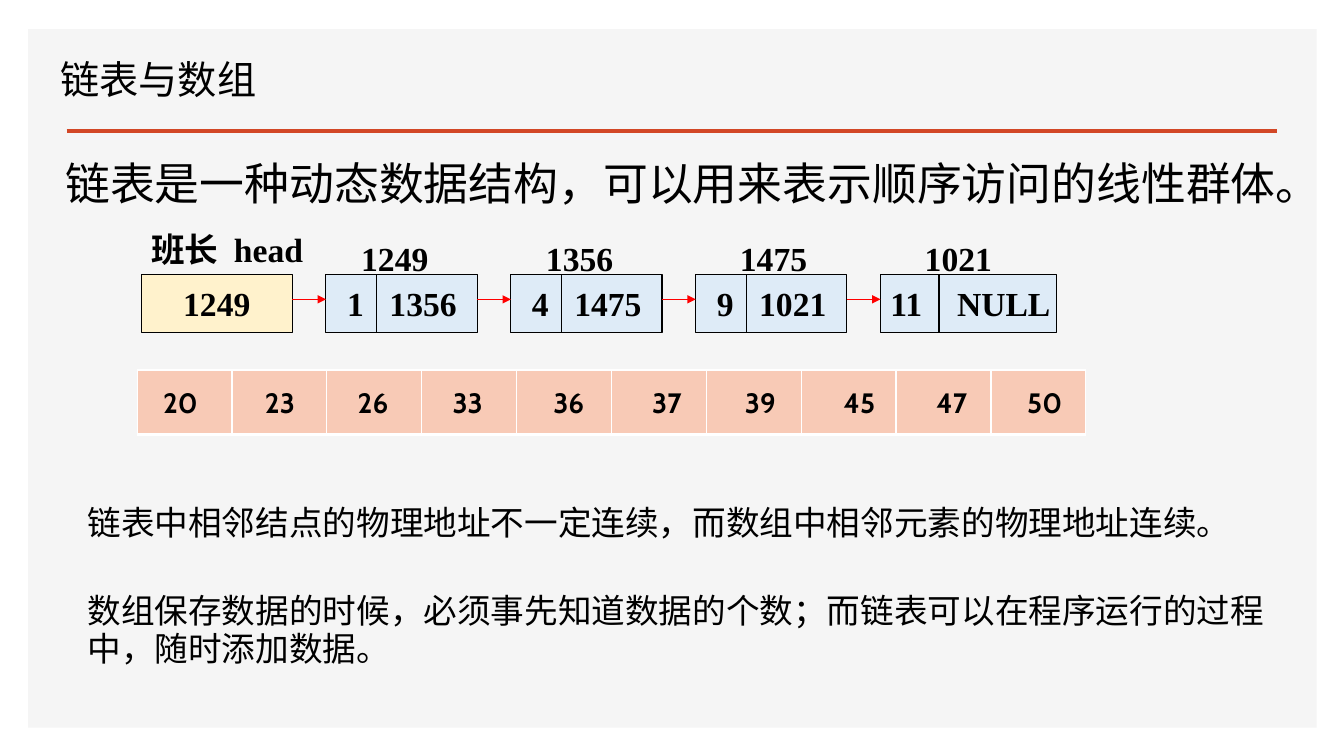
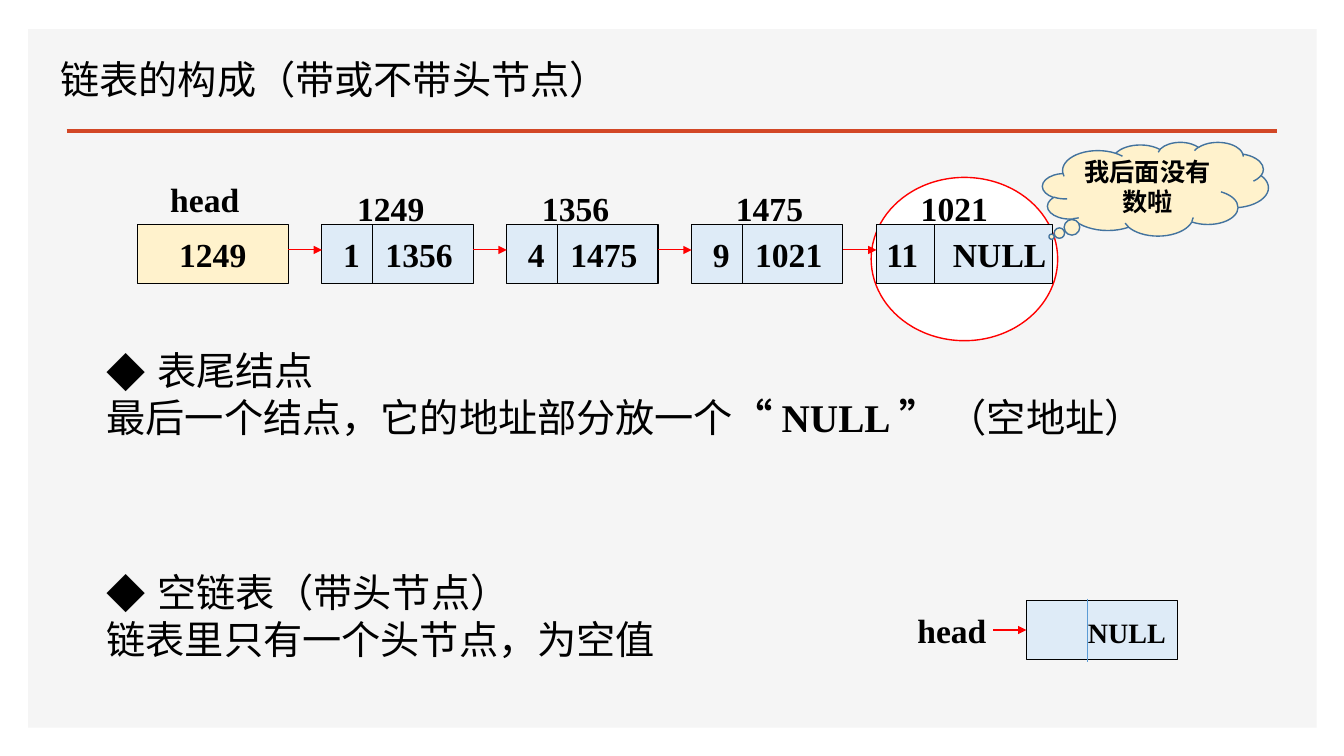
from lxml.etree import SubElement
from pptx import Presentation
from pptx.dml.color import RGBColor
from pptx.enum.shapes import MSO_CONNECTOR as Connector, MSO_SHAPE as Shape
from pptx.enum.text import MSO_ANCHOR as Anchor, PP_ALIGN as Align
from pptx.oxml.ns import qn
from pptx.util import Inches, Pt

BLACK, WHITE, RED = "000000", "FFFFFF", "FF0000"
PANEL, ACCENT = "F5F5F5", "D24726"
HEAD_FILL, NODE_FILL, ARRAY_FILL = "FFF2CC", "DEEBF7", "F8CAB6"
CLOUD_LINE, THIN_BLUE = "43739E", "5B9BD5"
CABIN, TIMES, CHINESE = "Cabin", "Times New Roman", "Noto Sans CJK SC"

NODE_WIDTH, NODE_HEIGHT = 1.5, 0.58
PITCH = NODE_WIDTH + 1 / 3
DIVIDER, LAST_DIVIDER, LAST_WIDTH = 0.5, 0.58, 1.75
ARROW_DROP = 0.25
NODES = [("1249", "1", "1356", 0.25), ("1356", "4", "1475", 0.25),
         ("1475", "9", "1021", 0.34), ("1021", "11", "NULL", 0.34)]
ARRAY_VALUES = [(20, 0.16), (23, 1.17), (26, 2.09), (33, 3.03), (36, 4.03),
                (37, 5.01), (39, 5.93), (45, 6.91), (47, 7.83), (50, 8.73)]


def color(value):
    return RGBColor.from_string(value)


def add_run(paragraph, text, size, font=TIMES, bold=False):
    run = paragraph.add_run()
    run.text = text
    run.font.size = Pt(size)
    run.font.name = font
    run.font.bold = bold
    run.font.color.rgb = color(BLACK)
    SubElement(run.font._element, qn("a:ea"), typeface=CHINESE)


def format_paragraph(paragraph, size, leading=1.2, align=Align.LEFT):
    paragraph.alignment = align
    paragraph.line_spacing = Pt(round(size * leading, 1))


def set_bullet(paragraph, character, indent):
    properties = paragraph._p.get_or_add_pPr()
    properties.set("marL", str(Inches(indent)))
    properties.set("indent", str(-Inches(indent)))
    SubElement(properties, qn("a:buFont"), typeface=CHINESE)
    SubElement(properties, qn("a:buChar"), char=character)


def set_tab(paragraph, position):
    tabs = SubElement(paragraph._p.get_or_add_pPr(), qn("a:tabLst"))
    SubElement(tabs, qn("a:tab"), pos=str(Inches(position)), algn="l")


def set_borders(cell, value, weights):
    properties = cell._tc.get_or_add_tcPr()
    for side, weight in weights.items():
        line = SubElement(properties, qn(f"a:ln{side}"), w=str(Pt(weight)))
        fill = SubElement(line, qn("a:solidFill"))
        SubElement(fill, qn("a:srgbClr"), val=value)


def add_box(slide, kind, left, top, width, height, fill, line=None, weight=0.75):
    shape = slide.shapes.add_shape(kind, Inches(left), Inches(top), Inches(width), Inches(height))
    shape.shadow.inherit = False
    shape.fill.solid()
    shape.fill.fore_color.rgb = color(fill)
    if line:
        shape.line.color.rgb = color(line)
        shape.line.width = Pt(weight)
    else:
        shape.line.fill.background()
    shape.text_frame.vertical_anchor = Anchor.MIDDLE
    return shape


def add_line(slide, start, end, line, weight=0.75, arrow=False):
    connector = slide.shapes.add_connector(
        Connector.STRAIGHT, *(Inches(value) for value in (*start, *end)))
    connector.line.color.rgb = color(line)
    connector.line.width = Pt(weight)
    if arrow:
        SubElement(connector.line._get_or_add_ln(), qn("a:tailEnd"), type="triangle")
    SubElement(connector._element.spPr, qn("a:effectLst"))
    return connector


def add_text_frame(slide, left, top, width, height, wrap=True):
    box = slide.shapes.add_textbox(Inches(left), Inches(top), Inches(width), Inches(height))
    box.text_frame.word_wrap = wrap
    return box.text_frame


def add_label(slide, text, left, top, width=1.08, height=0.5, size=24, font=TIMES):
    paragraph = add_text_frame(slide, left, top, width, height).paragraphs[0]
    format_paragraph(paragraph, size)
    add_run(paragraph, text, size, font, True)


def decorate_layout(layout, slide):
    panel = add_box(slide, Shape.RECTANGLE, 0.28, 0.29, 12.78, 6.93, PANEL)
    rule = add_line(slide, (0.66, 1.3), (12.67, 1.3), ACCENT, 2.25)
    for offset, shape in enumerate((panel, rule)):
        shape._element.xpath(".//p:cNvPr")[0].set("id", str(101 + offset))
        layout.shapes.element.insert(2 + offset, shape._element)


def set_title(slide, text):
    title = slide.shapes.title
    title.left, title.top = Inches(0.5), Inches(0.16)
    title.width, title.height = Inches(8.2), Inches(1.25)
    title.text_frame.vertical_anchor = Anchor.MIDDLE
    paragraph = title.text_frame.paragraphs[0]
    format_paragraph(paragraph, 28)
    add_run(paragraph, text, 28, CHINESE)


def add_head(slide, left, top):
    head = add_box(slide, Shape.RECTANGLE, left, top, NODE_WIDTH, NODE_HEIGHT, HEAD_FILL, BLACK)
    paragraph = head.text_frame.paragraphs[0]
    format_paragraph(paragraph, 24, align=Align.CENTER)
    add_run(paragraph, "1249", 24, bold=True)


def add_node(slide, left, top, value, address, last):
    width = LAST_WIDTH if last else NODE_WIDTH
    divider = left + (LAST_DIVIDER if last else DIVIDER)
    node = add_box(slide, Shape.RECTANGLE, left, top, width, NODE_HEIGHT, NODE_FILL, BLACK)
    frame = node.text_frame
    frame.margin_left = Inches(0.1 if last else 0.21)
    frame.margin_right = 0
    paragraph = frame.paragraphs[0]
    format_paragraph(paragraph, 24)
    set_tab(paragraph, 0.66 if last else 0.42)
    add_run(paragraph, f"{value}\t{address}", 24, bold=True)
    add_line(slide, (divider, top), (divider, top + NODE_HEIGHT), BLACK)


def add_chain(slide, left, top, head_text, head_shift):
    add_head(slide, left, top)
    add_label(slide, head_text, left + head_shift, top - 0.5, 1.77)
    for index, (label, value, address, label_shift) in enumerate(NODES, 1):
        node_left = left + index * PITCH
        add_node(slide, node_left, top, value, address, index == len(NODES))
        add_label(slide, label, node_left + label_shift, top - 0.41)
        arrow_top = top + ARROW_DROP
        add_line(slide, (node_left - PITCH + NODE_WIDTH, arrow_top), (node_left, arrow_top),
                 RED, arrow=True)


def add_array(slide, left, top, width, height):
    table = slide.shapes.add_table(1, len(ARRAY_VALUES), Inches(left), Inches(top),
                                   Inches(width), Inches(height)).table
    table.horz_banding = False
    for cell, (value, shift) in zip(table.rows[0].cells, ARRAY_VALUES):
        set_borders(cell, WHITE, {"L": 1, "R": 1, "T": 1, "B": 3})
        cell.fill.solid()
        cell.fill.fore_color.rgb = color(ARRAY_FILL)
        add_label(slide, str(value), left + shift, top + 0.11, 0.8, 0.44, 20, CABIN)


def add_notes_text(slide, left, top, width, height, texts):
    frame = add_text_frame(slide, left, top, width, height)
    for index, text in enumerate(texts):
        paragraph = frame.add_paragraph() if index else frame.paragraphs[0]
        format_paragraph(paragraph, 24, 1.12)
        paragraph.space_before = Pt(36 if index else 0)
        add_run(paragraph, text, 24, CABIN)


def add_topic(slide, left, top, width, heading, runs, font):
    frame = add_text_frame(slide, left, top, width, 1.04)
    bullet = frame.paragraphs[0]
    format_paragraph(bullet, 28)
    set_bullet(bullet, "◆", 0.5)
    add_run(bullet, heading, 28, font)
    detail = frame.add_paragraph()
    format_paragraph(detail, 28)
    for text, bold in runs:
        add_run(detail, text, 28, font, bold)


def add_cloud(slide, left, top, width, height, text):
    cloud = add_box(slide, Shape.CLOUD_CALLOUT, left, top, width, height,
                    HEAD_FILL, CLOUD_LINE, 1)
    cloud.adjustments[0], cloud.adjustments[1] = -0.46, 0.51
    cloud.text_frame.word_wrap = True
    paragraph = cloud.text_frame.paragraphs[0]
    format_paragraph(paragraph, 18, align=Align.CENTER)
    add_run(paragraph, text, 18, CABIN, True)


def add_empty_list(slide, left, top):
    node = add_box(slide, Shape.RECTANGLE, left, top, NODE_WIDTH, NODE_HEIGHT, NODE_FILL, BLACK)
    node.text_frame.margin_left = Inches(0.61)
    node.text_frame.margin_right = 0
    paragraph = node.text_frame.paragraphs[0]
    format_paragraph(paragraph, 20, 1.35)
    add_run(paragraph, "NULL", 20, bold=True)
    add_line(slide, (left + 0.6, top - 0.02), (left + 0.6, top + 0.61), THIN_BLUE, 0.5)
    middle = top + NODE_HEIGHT / 2
    arrow = add_line(slide, (left - 0.33, middle), (left, middle), RED, arrow=True)
    arrow.end_connect(node, 1)
    add_label(slide, "head", left - 1.18, top + 0.04)


def build_comparison(slide):
    set_title(slide, "链表与数组")
    add_chain(slide, 1.4, 2.72, "班长 head", 0)
    add_notes_text(slide, 0.77, 4.96, 12.01, 1.06, [
        "链表中相邻结点的物理地址不一定连续，而数组中相邻元素的物理地址连续。",
        "数组保存数据的时候，必须事先知道数据的个数；而链表可以在程序运行的过程中，随时添加数据。"])
    add_array(slide, 1.36, 3.67, 9.41, 0.64)
    summary = add_text_frame(slide, 0.55, 1.5, 12.64, 0.64, False).paragraphs[0]
    format_paragraph(summary, 32)
    add_run(summary, "链表是一种动态数据结构，可以用来表示顺序访问的线性群体。", 32, CABIN)


def build_structure(slide):
    set_title(slide, "链表的构成（带或不带头节点）")
    add_box(slide, Shape.OVAL, 8.64, 1.76, 1.85, 1.62, WHITE, RED, 1)
    add_chain(slide, 1.36, 2.23, "head", 0.23)
    add_topic(slide, 0.96, 3.39, 11.78, "表尾结点", [
        ("最后一个结点，它的地址部分放一个", False), ("“NULL”", True),
        (" （空地址）", False)], TIMES)
    add_cloud(slide, 10.34, 1.41, 2.24, 0.93, "我后面没有数啦")
    add_topic(slide, 0.96, 5.59, 11.1, "空链表（带头节点）",
              [("链表里只有一个头节点，为空值", False)], CABIN)
    add_empty_list(slide, 10.18, 5.96)


def main():
    presentation = Presentation()
    presentation.slide_width, presentation.slide_height = Inches(13.33), Inches(7.5)
    layout = presentation.slide_layouts[5]
    comparison, structure = (presentation.slides.add_slide(layout) for _ in range(2))
    decorate_layout(layout, comparison)
    build_comparison(comparison)
    build_structure(structure)
    presentation.save("out.pptx")


if __name__ == "__main__":
    main()
